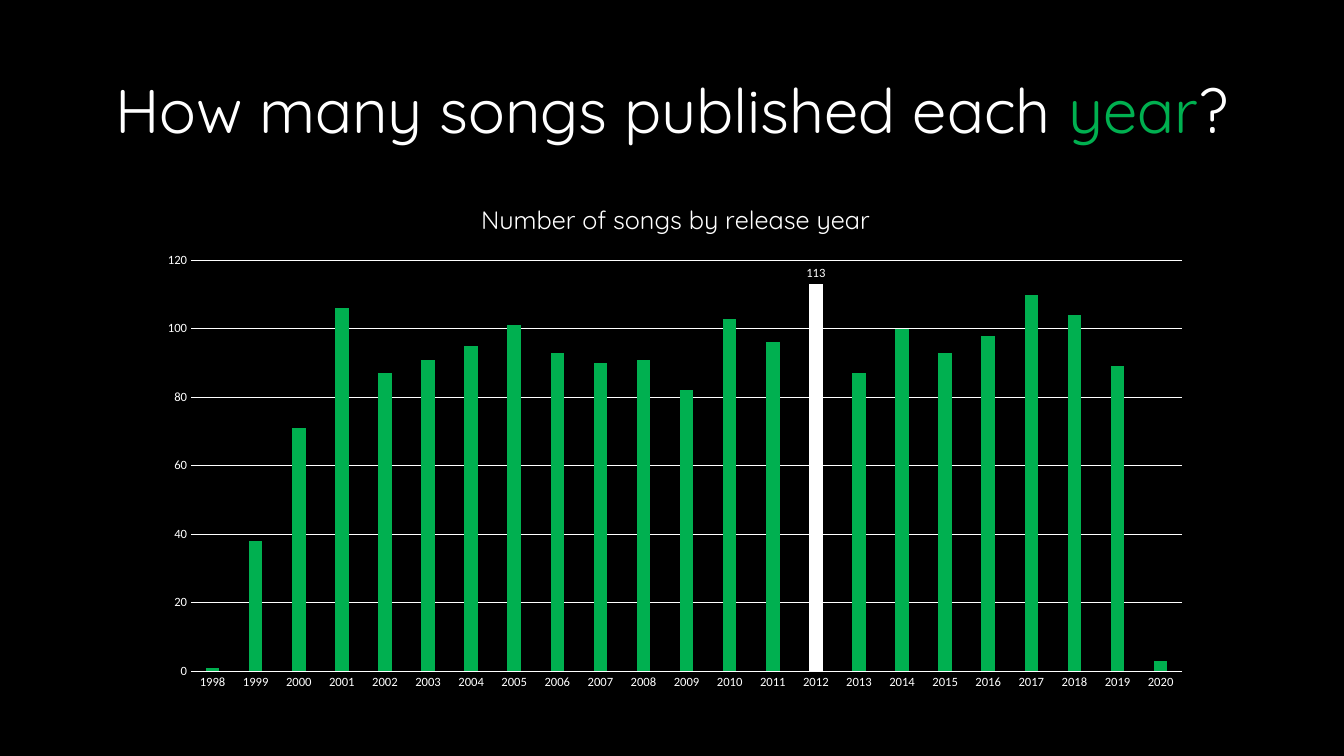
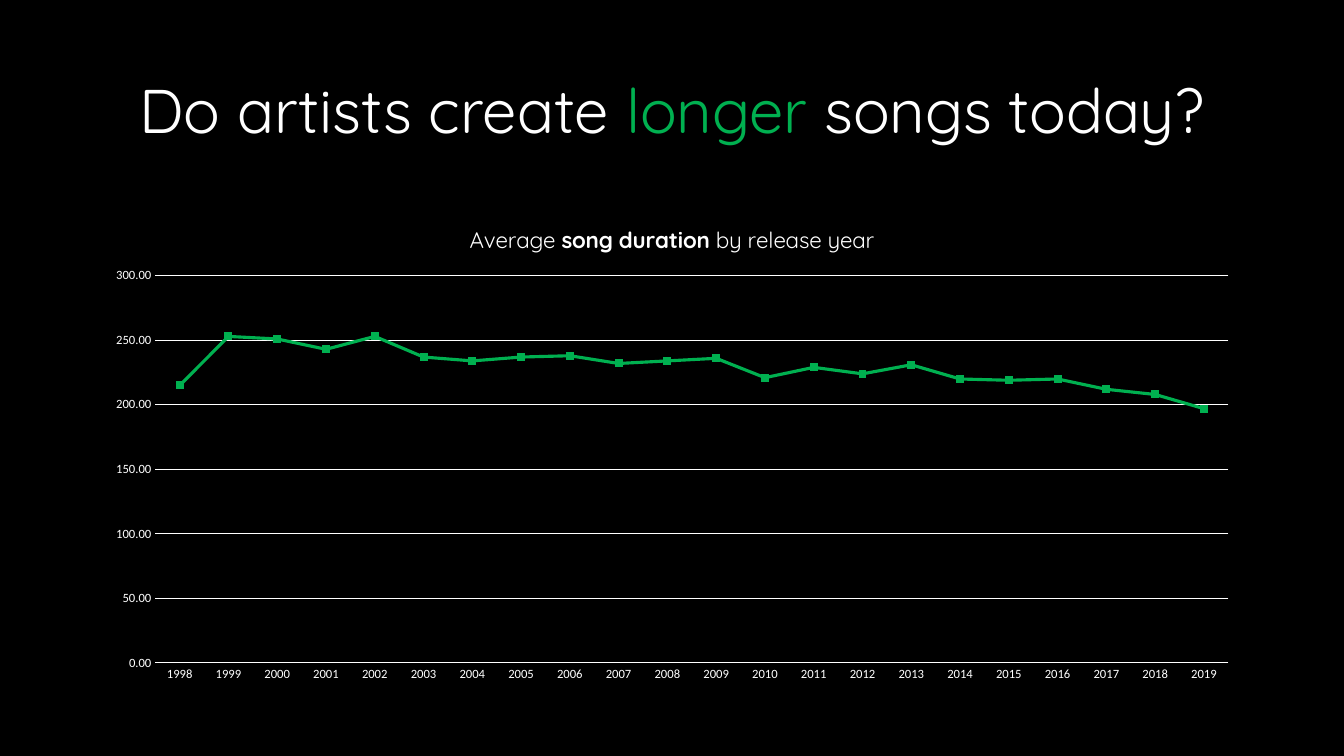
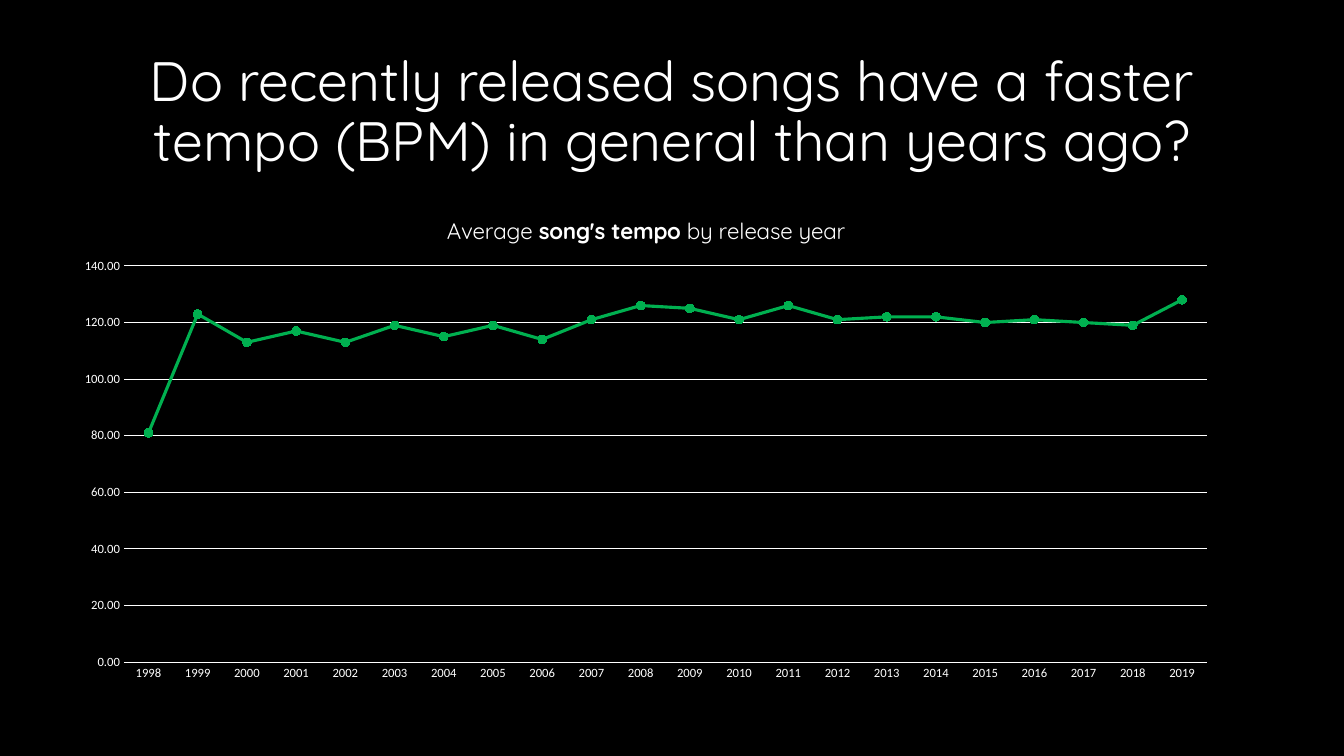
import pptx
import pptx.util
import pptx.chart.data
import pptx.dml.color
import pptx.enum.chart
import pptx.enum.text
import pptx.oxml
import pptx.oxml.ns

Pt = pptx.util.Pt
KIND = pptx.enum.chart.XL_CHART_TYPE
MARK = pptx.enum.chart.XL_MARKER_STYLE

# Shared look
HUES = {"back": "000000", "text": "FFFFFF", "key": "00B050"}
HEAD = "Quicksand"
BODY = "Calibri"
TITLE = (66, 29, 828, 104)


def tint(name):
    return pptx.dml.color.RGBColor.from_string(HUES[name])


def style(font, size, face=BODY, hue="text", bold=False):
    font.size = Pt(size)
    font.name = face
    font.bold = bold
    font.color.rgb = tint(hue)


def write(para, text, **form):
    run = para.add_run()
    run.text = text
    style(run.font, **form)


def stroke(line, hue, width):
    line.color.rgb = tint(hue)
    line.width = Pt(width)


def title(slide, box, parts, size=44):
    """Centred headline; parts are (text, hue) pairs."""
    frame = slide.shapes.add_textbox(*map(Pt, box)).text_frame
    frame.word_wrap = True
    frame.vertical_anchor = pptx.enum.text.MSO_ANCHOR.MIDDLE
    para = frame.paragraphs[0]
    para.alignment = pptx.enum.text.PP_ALIGN.CENTER
    para.line_spacing = 0.9
    for text, hue in parts:
        write(para, text, size=size, face=HEAD, hue=hue)


def place(chart, box, plot):
    """Pin the inner plot area; plot is relative to the chart box."""
    wide, high = box[2:]
    sides = zip("xywh", plot, (wide, high, wide, high))
    marks = "".join(f'<c:{side} val="{round(part / whole, 4)}"/>'
                    for side, part, whole in sides)
    area = chart.plots[0]._element.getparent()
    for old in area.findall(pptx.oxml.ns.qn("c:layout")):
        area.remove(old)
    area.insert(0, pptx.oxml.parse_xml(
        f'<c:layout {pptx.oxml.ns.nsdecls("c")}><c:manualLayout>'
        '<c:layoutTarget val="inner"/><c:xMode val="edge"/>'
        f'<c:yMode val="edge"/>{marks}</c:manualLayout></c:layout>'))


def graph(slide, box, plot, kind, rows, head, size, top, step, form):
    """Chart with its heading and axes; rows are (name, values) pairs."""
    data = pptx.chart.data.CategoryChartData(number_format=form)
    data.categories = [str(1998 + i) for i in range(len(rows[0][1]))]
    for name, vals in rows:
        data.add_series(name, vals)
    chart = slide.shapes.add_chart(kind, *map(Pt, box), data).chart
    style(chart.font, 10)
    chart.has_legend = False
    chart.plots[0].vary_by_categories = False

    # Heading
    chart.has_title = True
    para = chart.chart_title.text_frame.paragraphs[0]
    for text, bold in head:
        write(para, text, size=size, face=HEAD, bold=bold)
    chart.chart_title.include_in_layout = False

    # Axes
    for axis in (chart.category_axis, chart.value_axis):
        axis.major_tick_mark = pptx.enum.chart.XL_TICK_MARK.NONE
        axis.minor_tick_mark = pptx.enum.chart.XL_TICK_MARK.NONE
        style(axis.tick_labels.font, 9)
    stroke(chart.category_axis.format.line, "text", 0.75)
    scale = chart.value_axis
    scale.minimum_scale, scale.maximum_scale = 0, top
    scale.major_unit = step
    scale.format.line.fill.background()
    scale.has_major_gridlines = True
    stroke(scale.major_gridlines.format.line, "text", 0.75)
    scale.tick_labels.number_format = form
    scale.tick_labels.number_format_is_linked = False
    place(chart, box, plot)
    return chart


def bars(slide, box, plot, vals, head):
    """Columns with the highest one picked out and labelled."""
    chart = graph(slide, box, plot, KIND.COLUMN_CLUSTERED,
                  [("Series 1", vals)], head, 18, 120, 20, "0")
    chart.plots[0].gap_width = 219
    chart.plots[0].overlap = -27
    row = chart.series[0]
    row.format.fill.solid()
    row.format.fill.fore_color.rgb = tint("key")
    row.data_labels.show_value = False
    peak = row.points[vals.index(max(vals))]
    peak.format.fill.solid()
    peak.format.fill.fore_color.rgb = tint("text")
    label = peak.data_label
    style(label.font, 9)
    label.position = pptx.enum.chart.XL_LABEL_POSITION.OUTSIDE_END


def trend(slide, box, plot, rows, looks, head, top, step):
    """Lines; looks gives line width, marker style and size for each row."""
    chart = graph(slide, box, plot, KIND.LINE_MARKERS,
                  rows, head, 16, top, step, "0.00")
    for row, (width, mark, size) in zip(chart.plots[0].series, looks):
        row.smooth = False
        stroke(row.format.line, "key", width)
        row.marker.style = mark
        if size:
            row.marker.size = size
            row.marker.format.fill.solid()
            row.marker.format.fill.fore_color.rgb = tint("key")
            row.marker.format.line.color.rgb = tint("key")


def page(deck):
    slide = deck.slides.add_slide(deck.slide_layouts[6])
    slide.background.fill.solid()
    slide.background.fill.fore_color.rgb = tint("back")
    return slide


SONGS = [1, 38, 71, 106, 87, 91, 95, 101, 93, 90, 91, 82,
         103, 96, 113, 87, 100, 93, 98, 110, 104, 89, 3]
SPANS = [215, 253, 251, 243, 253, 237, 234, 237, 238, 232, 234,
         236, 221, 229, 224, 231, 220, 219, 220, 212, 208, 197]
TEMPO = [81, 123, 113, 117, 113, 119, 115, 119, 114, 121, 126,
         125, 121, 126, 121, 122, 122, 120, 121, 120, 119, 128]


def main():
    deck = pptx.Presentation()
    deck.slide_width, deck.slide_height = Pt(960), Pt(540)

    # Songs per year
    slide = page(deck)
    title(slide, TITLE, [("How many songs published each ", "text"),
                         ("year", "key"), ("?", "text")])
    bars(slide, (105, 129, 755, 371.5), (31.5, 57, 708, 293.5), SONGS,
         [("Number of songs by release year", False)])

    # Song length
    slide = page(deck)
    title(slide, TITLE, [("Do artists create ", "text"),
                         ("longer ", "key"), ("songs today?", "text")])
    name = "Average song duration by release year"
    trend(slide, (66, 147.5, 828, 346.5), (45, 49.5, 766.5, 276.5),
          [(name, SPANS), (name, SPANS)],
          [(0.75, MARK.SQUARE, 5), (2.25, MARK.NONE, None)],
          [("Average ", False), ("song duration", True),
           (" by release year", False)], 300, 50)

    # Song tempo
    slide = page(deck)
    title(slide, TITLE, [("Do recently released songs have a faster "
                          "tempo (BPM) in general than years ago?",
                          "text")], size=39.6)
    trend(slide, (44, 140.5, 835, 353.5), (44.5, 49.5, 773.5, 283),
          [("Series 1", TEMPO)], [(2.25, MARK.CIRCLE, 6)],
          [("Average ", False), ("song's tempo", True),
           (" by release year", False)], 140, 20)

    deck.save("out.pptx")


if __name__ == "__main__":
    main()
